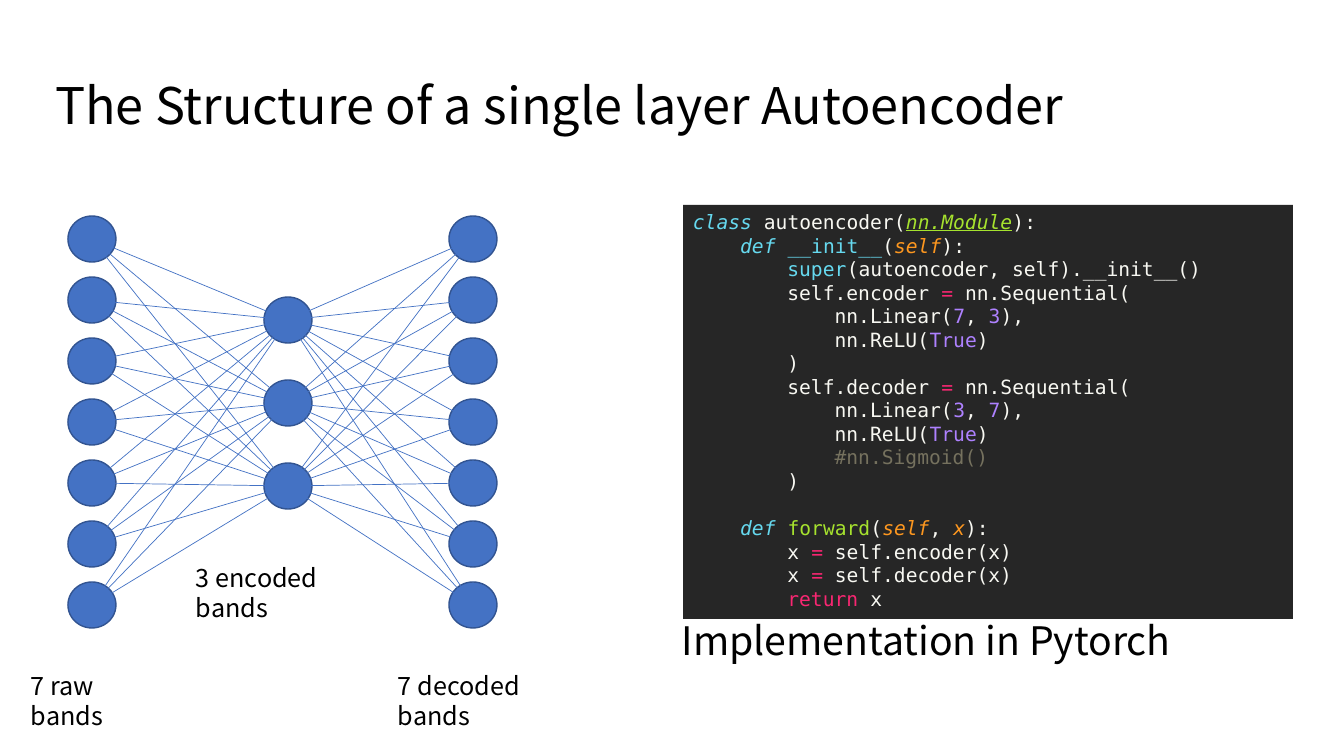
from collections import namedtuple
from itertools import product

from lxml import etree
from pptx import Presentation
from pptx import util as u
from pptx.dml.color import RGBColor
from pptx.enum import shapes, text
from pptx.oxml.ns import qn

BLACK = RGBColor(0x00, 0x00, 0x00)
NODE_FILL = RGBColor(0x44, 0x72, 0xC4)
NODE_LINE = RGBColor(0x32, 0x54, 0x91)
PANEL = RGBColor(0x26, 0x26, 0x26)
WHITE = RGBColor(0xF8, 0xF8, 0xF2)
CYAN = RGBColor(0x66, 0xD9, 0xEF)
GREEN = RGBColor(0xA6, 0xE2, 0x2E)
ORANGE = RGBColor(0xFD, 0x97, 0x1F)
PINK = RGBColor(0xF9, 0x26, 0x72)
PURPLE = RGBColor(0xAE, 0x81, 0xFF)
GREY = RGBColor(0x75, 0x71, 0x5E)

Token = namedtuple("Token", "colour italic underline", defaults=(False, False))
PLAIN, BUILTIN, FUNCTION = Token(WHITE), Token(CYAN), Token(GREEN)
KEYWORD, PARAMETER, BASE = Token(CYAN, True), Token(ORANGE, True), Token(GREEN, True, True)
OPERATOR, CONSTANT, COMMENT = Token(PINK), Token(PURPLE), Token(GREY)


def layer_lines(name, inputs, outputs):
    return [
        [(f"        self.{name} ", PLAIN), ("= ", OPERATOR), ("nn.Sequential(", PLAIN)],
        [("            nn.Linear(", PLAIN), (inputs, CONSTANT), (", ", PLAIN),
         (outputs, CONSTANT), ("),", PLAIN)],
        [("            nn.ReLU(", PLAIN), ("True", CONSTANT), (")", PLAIN)],
    ]


def call_line(name):
    return [("        x ", PLAIN), ("= ", OPERATOR), (f"self.{name}(x)", PLAIN)]


CLOSING = [("        )", PLAIN)]
CODE = [
    [("class", KEYWORD), (" autoencoder(", PLAIN), ("nn.Module", BASE), ("):", PLAIN)],
    [("    def ", KEYWORD), ("__init__", BUILTIN), ("(", PLAIN), ("self", PARAMETER),
     ("):", PLAIN)],
    [("        super", BUILTIN), ("(autoencoder, self).__init__()", PLAIN)],
    *layer_lines("encoder", "7", "3"),
    CLOSING,
    *layer_lines("decoder", "3", "7"),
    [("            #nn.Sigmoid()", COMMENT)],
    CLOSING,
    [("\n", PLAIN), ("    def ", KEYWORD), ("forward", FUNCTION), ("(", PLAIN),
     ("self", PARAMETER), (", ", PLAIN), ("x", PARAMETER), ("):", PLAIN)],
    call_line("encoder"),
    call_line("decoder"),
    [("        return", OPERATOR), (" x", PLAIN)],
]


class SlideBuilder:
    """Draws styled elements on the current slide, measured in px."""

    SCALE = 914400 / 100.8
    TEXT_FONT = "Noto Sans CJK SC"
    CODE_FONT = "DejaVu Sans Mono"
    NODE_WIDTH, NODE_HEIGHT = 48, 46

    def __init__(self, presentation):
        presentation.slide_width, presentation.slide_height = self.px(1344, 756)
        self.slide = presentation.slides.add_slide(presentation.slide_layouts[5])

    def px(self, *lengths):
        return [u.Emu(round(length * self.SCALE)) for length in lengths]

    def add_run(self, paragraph, words, size, colour, font):
        run = paragraph.add_run()
        run.text = words
        run.font.name, run.font.size = font, u.Pt(size)
        run.font.color.rgb = colour
        return run

    def title(self, words, box, size):
        shape = self.slide.shapes.title
        shape.left, shape.top, shape.width, shape.height = self.px(*box)
        self.set_words(shape, words, size, text.MSO_ANCHOR.MIDDLE, 0.9)

    def label(self, words, box, size, anchor=text.MSO_ANCHOR.TOP, spacing=1.0, indent=0):
        shape = self.slide.shapes.add_textbox(*self.px(*box))
        paragraph = self.set_words(shape, words, size, anchor, spacing)
        if indent:
            paragraph._p.get_or_add_pPr().set("marL", str(self.px(indent)[0]))

    def set_words(self, shape, words, size, anchor, spacing):
        frame = shape.text_frame
        frame.word_wrap = True
        frame.auto_size = text.MSO_AUTO_SIZE.NONE
        frame.vertical_anchor = anchor
        paragraph = frame.paragraphs[0]
        paragraph.alignment = text.PP_ALIGN.LEFT
        paragraph.line_spacing = spacing
        self.add_run(paragraph, words, size, BLACK, self.TEXT_FONT)
        return paragraph

    def filled(self, kind, box, fill):
        shape = self.slide.shapes.add_shape(kind, *self.px(*box))
        shape.shadow.inherit = False
        shape.fill.solid()
        shape.fill.fore_color.rgb = fill
        return shape

    def code(self, lines, box, size):
        panel = self.filled(shapes.MSO_SHAPE.RECTANGLE, box, PANEL)
        panel.line.fill.background()
        frame = panel.text_frame
        frame.word_wrap = True
        frame.vertical_anchor = text.MSO_ANCHOR.TOP
        for number, tokens in enumerate(lines):
            paragraph = frame.add_paragraph() if number else frame.paragraphs[0]
            paragraph.alignment = text.PP_ALIGN.LEFT
            paragraph.font.size = u.Pt(size)
            for words, token in tokens:
                if words == "\n":
                    paragraph.add_line_break()
                    continue
                run = self.add_run(paragraph, words, size, token.colour, self.CODE_FONT)
                run.font.italic, run.font.underline = token.italic, token.underline

    def layer(self, left, top, step, count):
        centres = []
        for number in range(count):
            y = top + number * step
            box = (left, y, self.NODE_WIDTH, self.NODE_HEIGHT)
            node = self.filled(shapes.MSO_SHAPE.OVAL, box, NODE_FILL)
            node.line.color.rgb, node.line.width = NODE_LINE, u.Pt(1)
            centres.append((left + self.NODE_WIDTH // 2, y + self.NODE_HEIGHT // 2))
        return centres

    def link(self, start, end):
        line = self.slide.shapes.add_connector(
            shapes.MSO_CONNECTOR.STRAIGHT, *self.px(*start, *end))
        line.line.color.rgb, line.line.width = NODE_FILL, u.Pt(0.5)
        etree.SubElement(line._element.spPr, qn("a:effectLst"))


def main():
    presentation = Presentation()
    builder = SlideBuilder(presentation)
    builder.title("The Structure of a single layer Autoencoder", (45, 35, 1159, 146), 36)
    builder.code(CODE, (683, 205, 610, 414), 14)
    builder.label("Implementation in Pytorch", (672, 578, 649, 129), 28,
                  text.MSO_ANCHOR.MIDDLE, 0.9)
    raw = builder.layer(68, 216, 61, 7)
    encoded = builder.layer(264, 297, 83, 3)
    decoded = builder.layer(449, 216, 61, 7)
    for start, end in [*product(raw, encoded), *product(encoded, decoded)]:
        builder.link(start, end)
    builder.label("7 raw bands", (-29, 665, 205, 40), 18, indent=50)
    builder.label("3 encoded bands", (186, 557, 208, 40), 18)
    builder.label("7 decoded bands", (388, 665, 210, 40), 18)
    presentation.save("out.pptx")


if __name__ == "__main__":
    main()
